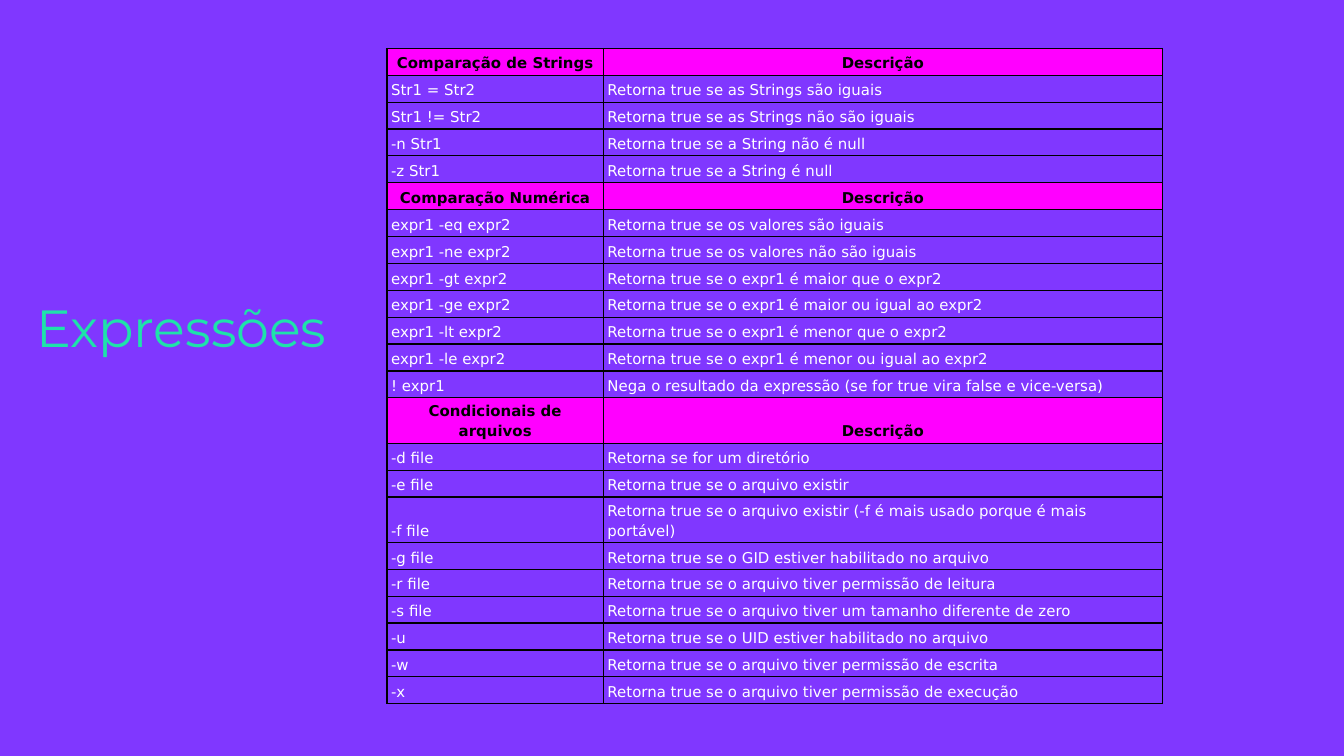
from lxml.etree import SubElement
from pptx import Presentation
from pptx.dml.color import RGBColor
from pptx.enum.text import MSO_ANCHOR, PP_ALIGN
from pptx.oxml.ns import qn
from pptx.util import Inches, Pt

PURPLE = RGBColor(0x80, 0x37, 0xFF)
GREEN = RGBColor(0x1E, 0xE2, 0xAA)
PINK = RGBColor(0xFF, 0x00, 0xFF)
BLACK = RGBColor(0, 0, 0)
WHITE = RGBColor(0xFF, 0xFF, 0xFF)

TITLE = "Expressões"
GROUPS = {
    "Comparação de Strings": [
        ("Str1 = Str2", "Retorna true se as Strings são iguais"),
        ("Str1 != Str2", "Retorna true se as Strings não são iguais"),
        ("-n Str1", "Retorna true se a String não é null"),
        ("-z Str1", "Retorna true se a String é null"),
    ],
    "Comparação Numérica": [
        ("expr1 -eq expr2", "Retorna true se os valores são iguais"),
        ("expr1 -ne expr2", "Retorna true se os valores não são iguais"),
        ("expr1 -gt expr2", "Retorna true se o expr1 é maior que o expr2"),
        ("expr1 -ge expr2", "Retorna true se o expr1 é maior ou igual ao expr2"),
        ("expr1 -lt expr2", "Retorna true se o expr1 é menor que o expr2"),
        ("expr1 -le expr2", "Retorna true se o expr1 é menor ou igual ao expr2"),
        ("! expr1", "Nega o resultado da expressão (se for true vira false e vice-versa)"),
    ],
    "Condicionais de arquivos": [
        ("-d file", "Retorna se for um diretório"),
        ("-e file", "Retorna true se o arquivo existir"),
        ("-f file", "Retorna true se o arquivo existir (-f é mais usado porque é mais portável)"),
        ("-g file", "Retorna true se o GID estiver habilitado no arquivo"),
        ("-r file", "Retorna true se o arquivo tiver permissão de leitura"),
        ("-s file", "Retorna true se o arquivo tiver um tamanho diferente de zero"),
        ("-u", "Retorna true se o UID estiver habilitado no arquivo"),
        ("-w", "Retorna true se o arquivo tiver permissão de escrita"),
        ("-x", "Retorna true se o arquivo tiver permissão de execução"),
    ],
}
WIDTHS = (1.61, 4.16)
ROW = 0.2


def add_title(slide):
    title = slide.shapes.title
    title.left, title.top = Inches(0.17), Inches(2.1)
    title.width, title.height = Inches(2.81), Inches(0.63)
    frame = title.text_frame
    frame.margin_left = frame.margin_right = Inches(0.1)
    frame.margin_top = frame.margin_bottom = Inches(0.1)
    frame.vertical_anchor = MSO_ANCHOR.TOP
    frame.text = TITLE
    line = frame.paragraphs[0]
    line.alignment = PP_ALIGN.LEFT
    line.line_spacing = 1
    line.font.name, line.font.size = "Montserrat", Pt(28)
    line.font.color.rgb = GREEN


def add_border(cell):
    props = cell._tc.get_or_add_tcPr()
    for side in ("lnL", "lnR", "lnT", "lnB"):
        edge = SubElement(props, qn("a:" + side), w=str(Pt(0.75)))
        fill = SubElement(edge, qn("a:solidFill"))
        SubElement(fill, qn("a:srgbClr"), val=str(BLACK))


def fill_cell(cell, text, head):
    cell.text = text
    cell.vertical_anchor = MSO_ANCHOR.BOTTOM
    cell.margin_left = cell.margin_right = Inches(0.03)
    cell.margin_top = cell.margin_bottom = Inches(0.02)
    line = cell.text_frame.paragraphs[0]
    line.alignment = PP_ALIGN.CENTER if head else PP_ALIGN.LEFT
    line.line_spacing = 1.15
    line.font.name, line.font.size = "DejaVu Sans", Pt(8)
    line.font.bold = head
    line.font.color.rgb = BLACK if head else WHITE
    add_border(cell)
    if head:
        cell.fill.solid()
        cell.fill.fore_color.rgb = PINK
    else:
        cell.fill.background()


def add_grid(slide):
    rows = []
    for name, items in GROUPS.items():
        rows.append((name, "Descrição", True))
        rows += [(test, note, False) for test, note in items]
    table = slide.shapes.add_table(
        len(rows), len(WIDTHS), Inches(2.88), Inches(0.36),
        Inches(sum(WIDTHS)), Inches(ROW * len(rows))).table
    table.first_row = table.horz_banding = False
    for col, width in zip(table.columns, WIDTHS):
        col.width = Inches(width)
    for row, (*texts, head) in zip(table.rows, rows):
        row.height = Inches(ROW)
        for cell, text in zip(row.cells, texts):
            fill_cell(cell, text, head)


def main():
    deck = Presentation()
    deck.slide_width = Inches(10)
    deck.slide_height = deck.slide_width * 9 // 16
    slide = deck.slides.add_slide(deck.slide_layouts[5])
    slide.background.fill.solid()
    slide.background.fill.fore_color.rgb = PURPLE
    add_title(slide)
    add_grid(slide)
    deck.save("out.pptx")


if __name__ == "__main__":
    main()
